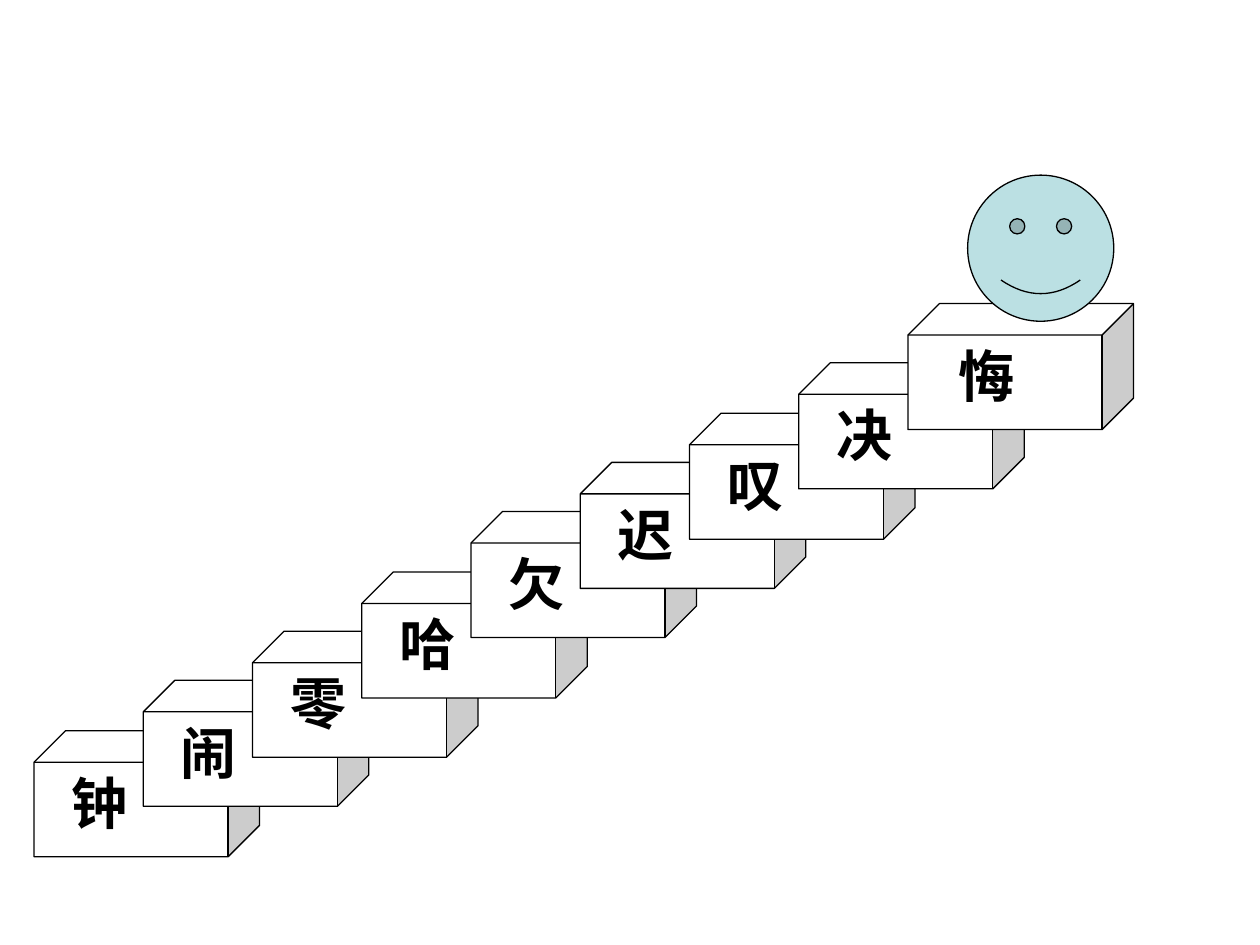
from dataclasses import dataclass

from pptx import Presentation
from pptx import util as u
from pptx.dml import color
from pptx.enum import shapes, text
from pptx.slide import Slide


def rgb(value):
    return color.RGBColor.from_string(value)


@dataclass
class Staircase:
    slide: Slide
    ink: str = "000000"
    step_fill: str = "FFFFFF"
    face_fill: str = "BBE0E3"
    line_width: float = 0.75
    text_size: int = 32

    def outlined(self, kind, left, top, width, height, fill):
        shape = self.slide.shapes.add_shape(
            kind, u.Inches(left), u.Inches(top), u.Inches(width), u.Inches(height)
        )
        shape.shadow.inherit = False
        shape.fill.solid()
        shape.fill.fore_color.rgb = rgb(fill)
        shape.line.color.rgb = rgb(self.ink)
        shape.line.width = u.Pt(self.line_width)
        return shape

    def step(self, left, top, word, font="Arial", indent=0.2):
        shape = self.outlined(
            shapes.MSO_SHAPE.CUBE, left, top, 1.79, 1, self.step_fill
        )
        shape.adjustments[0] = 0.25
        frame = shape.text_frame
        frame.word_wrap = True
        frame.vertical_anchor = text.MSO_ANCHOR.TOP
        paragraph = frame.paragraphs[0]
        paragraph.text = word
        paragraph.alignment = text.PP_ALIGN.LEFT
        properties = paragraph._p.get_or_add_pPr()
        properties.set("marL", str(u.Inches(indent)))
        properties.set("indent", "0")
        paragraph.font.name = font
        paragraph.font.size = u.Pt(self.text_size)
        paragraph.font.bold = True
        paragraph.font.color.rgb = rgb(self.ink)

    def smiley(self, left, top, size):
        shape = self.outlined(
            shapes.MSO_SHAPE.SMILEY_FACE, left, top, size, size, self.face_fill
        )
        shape.adjustments[0] = 0.047


def main():
    presentation = Presentation()
    presentation.slide_width = u.Inches(10)
    presentation.slide_height = u.Inches(7.5)
    blank_layout = presentation.slide_layouts[6]
    staircase = Staircase(presentation.slides.add_slide(blank_layout))

    words = "钟闹零哈欠迟叹决悔"
    tops = [5.8, 5.4, 5.01, 4.54, 4.06, 3.67, 3.28, 2.88, 2.41]
    first_left, step_run = 0.27, 0.867
    for index, (word, top) in enumerate(zip(words, tops)):
        staircase.step(
            first_left + index * step_run,
            top,
            word,
            font="Times New Roman" if index == 0 else "Arial",
            indent=0.3 if index == len(words) - 1 else 0.2,
        )
    staircase.smiley(7.68, 1.39, 1.16)

    presentation.save("out.pptx")


if __name__ == "__main__":
    main()
